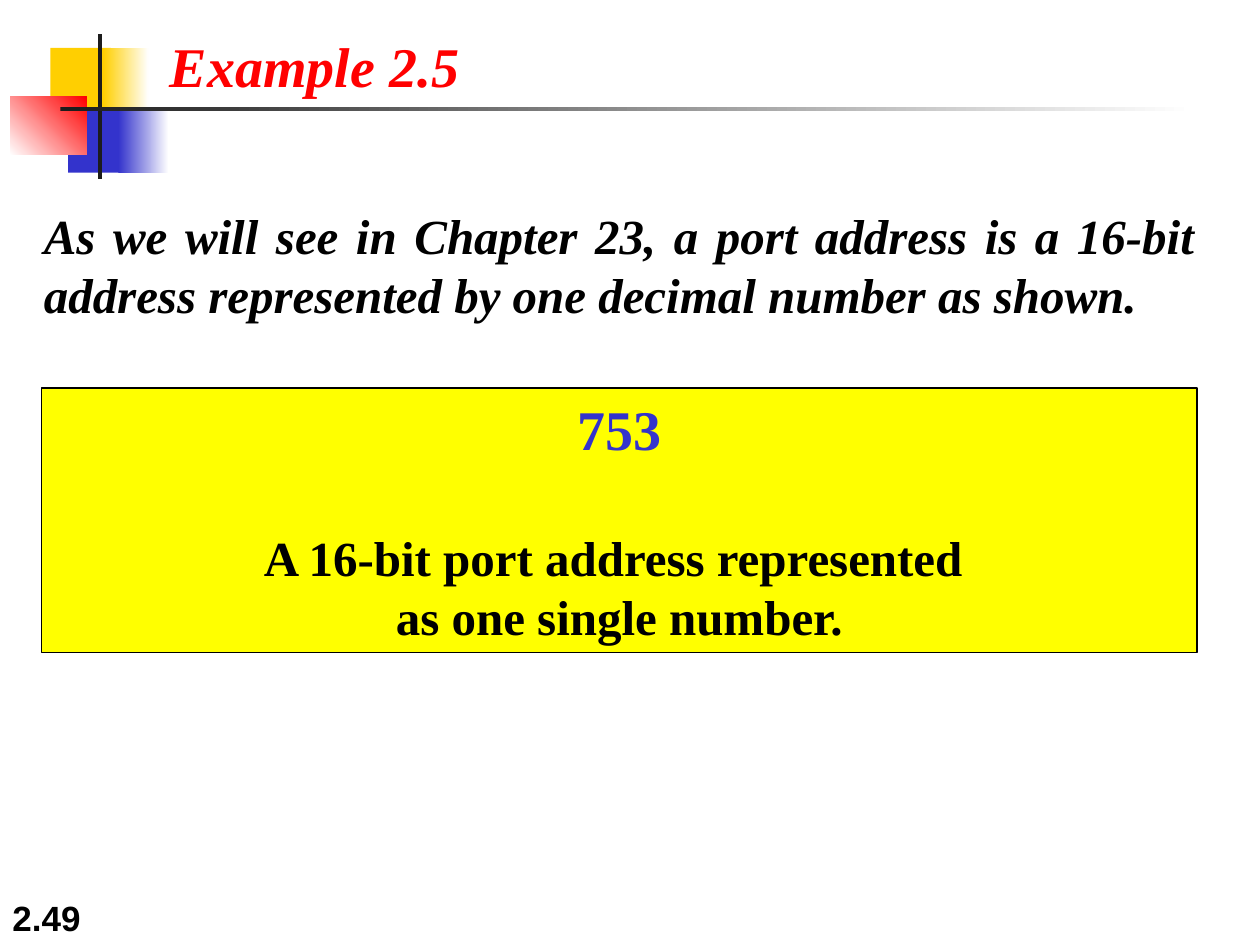
from pptx import Presentation
from pptx.dml.color import RGBColor
from pptx.enum.shapes import MSO_SHAPE
from pptx.enum.text import MSO_ANCHOR, PP_ALIGN
from pptx.util import Pt

PX = 9144
RECT = MSO_SHAPE.RECTANGLE
TOP, BOTTOM = MSO_ANCHOR.TOP, MSO_ANCHOR.BOTTOM
LEFT, CENTER, JUSTIFY = PP_ALIGN.LEFT, PP_ALIGN.CENTER, PP_ALIGN.JUSTIFY
SERIF, SANS = "Times New Roman", "Arial"

WHITE = RGBColor(0xFF, 0xFF, 0xFF)
BLACK = RGBColor(0x00, 0x00, 0x00)
INK = RGBColor(0x1C, 0x1C, 0x1C)
RED = RGBColor(0xFF, 0x00, 0x00)
GOLD = RGBColor(0xFF, 0xCF, 0x01)
BLUE = RGBColor(0x33, 0x33, 0xCC)
YELLOW = RGBColor(0xFF, 0xFF, 0x00)


def add_rect(s, box, color):
    sp = s.shapes.add_shape(RECT, *(v * PX for v in box))
    sp.shadow.inherit = False
    sp.fill.solid()
    sp.fill.fore_color.rgb = color
    sp.line.fill.background()
    return sp


def add_fade(s, box, start, end, angle=0):
    fill = add_rect(s, box, start).fill
    fill.gradient()
    fill.gradient_angle = angle
    for stop, color, position in zip(fill.gradient_stops, (start, end), (0, 1)):
        stop.color.rgb = color
        stop.position = position


def style(p, size, color, font=SERIF, italic=False, align=LEFT):
    p.alignment = align
    p.font.name = font
    p.font.size = Pt(size)
    p.font.bold = True
    p.font.italic = italic
    p.font.color.rgb = color


def add_text(s, box, text, size, color, wrap=True, anchor=TOP, **look):
    tf = s.shapes.add_textbox(*(v * PX for v in box)).text_frame
    tf.word_wrap = wrap
    tf.vertical_anchor = anchor
    p = tf.paragraphs[0]
    p.text = text
    style(p, size, color, **look)


def add_emblem(s, x, y):
    add_rect(s, (x + 32, y + 11, 48, 52), GOLD)
    add_fade(s, (x + 74, y + 11, 36, 52), GOLD, WHITE)
    add_rect(s, (x + 46, y + 58, 46, 52), BLUE)
    add_fade(s, (x + 86, y + 58, 40, 52), BLUE, WHITE)
    add_fade(s, (x, y + 50, 61, 46), WHITE, RED, 45)
    add_rect(s, (x + 70, y, 3, 115), INK)
    add_fade(s, (x + 40, y + 58, 900, 3), INK, WHITE)


def add_address_panel(s, x, y, w, h):
    sp = add_rect(s, (x, y, w, h), YELLOW)
    sp.line.color.rgb = BLACK
    sp.line.width = Pt(0.75)
    tf = sp.text_frame
    tf.word_wrap = True
    tf.vertical_anchor = TOP
    p = tf.paragraphs[0]
    p.text = "753"
    style(p, 32, BLUE, align=CENTER)
    p = tf.add_paragraph()
    p.text = "A 16-bit port address represented \vas one single number."
    p.space_before = Pt(38)
    style(p, 28, BLACK, align=CENTER)


def main():
    prs = Presentation()
    prs.slide_width, prs.slide_height = 1000 * PX, 750 * PX
    s = prs.slides.add_slide(prs.slide_layouts[6])
    add_text(s, (0, 700, 208, 50), "2.49", 20, BLACK, anchor=BOTTOM, font=SANS)
    add_emblem(s, 8, 27)
    add_text(s, (125, 20, 250, 64), "Example 2.5", 32, RED, wrap=False, italic=True)
    add_text(
        s, (25, 158, 933, 104),
        "As we will see in Chapter 23, a port address is a 16-bit address "
        "represented by one decimal number as shown.",
        28, BLACK, italic=True, align=JUSTIFY)
    add_address_panel(s, 33, 308, 917, 210)
    prs.save("out.pptx")


if __name__ == "__main__":
    main()
